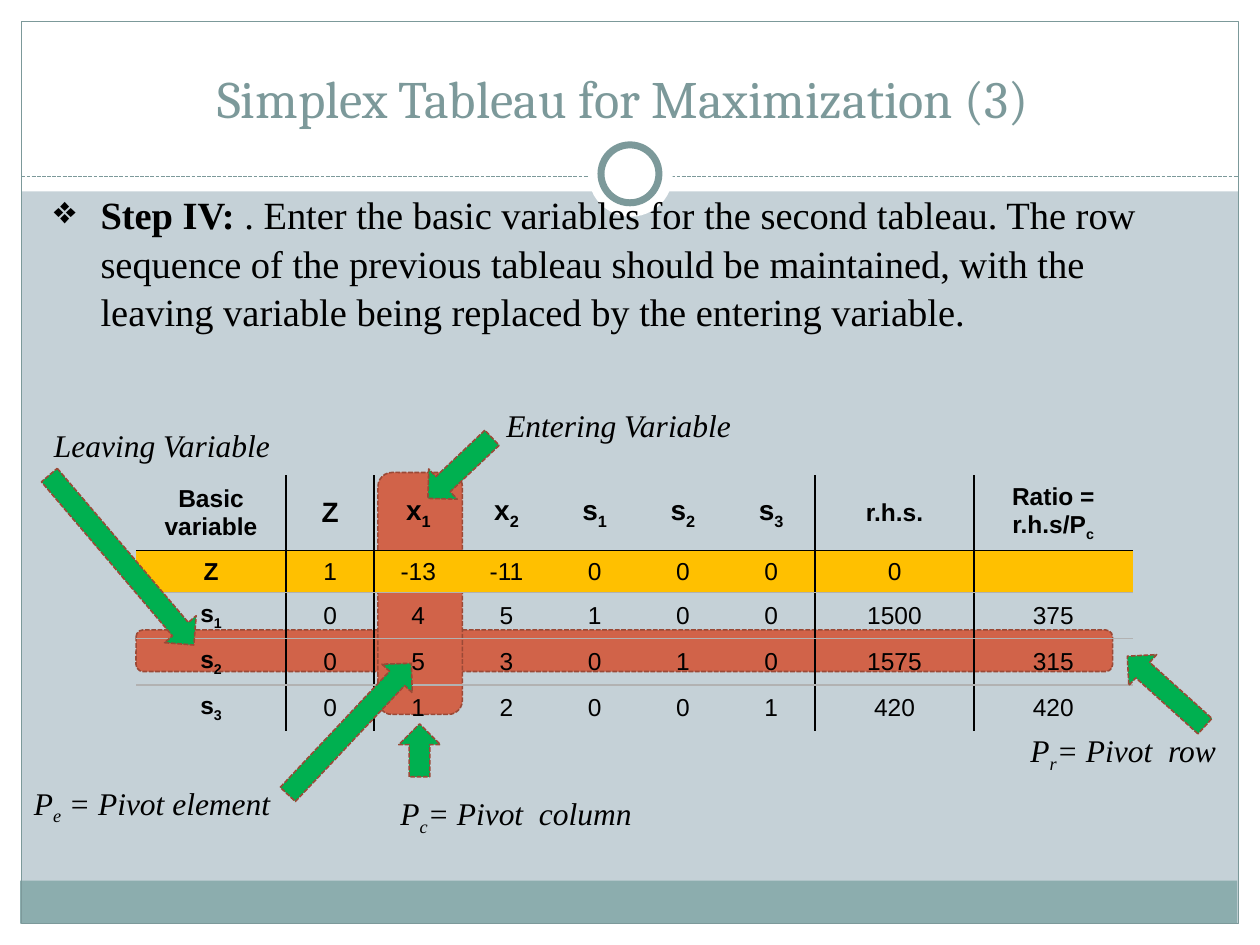
from lxml.etree import SubElement
from pptx import Presentation
from pptx.dml.color import RGBColor
from pptx.enum.dml import MSO_LINE
from pptx.enum.shapes import MSO_CONNECTOR, MSO_SHAPE
from pptx.enum.text import MSO_ANCHOR, PP_ALIGN
from pptx.oxml.ns import qn
from pptx.util import Emu, Pt

PX = 9144
BLACK = RGBColor(0x00, 0x00, 0x00)
WHITE = RGBColor(0xFF, 0xFF, 0xFF)
MIST = RGBColor(0xC5, 0xD1, 0xD7)
TEAL = RGBColor(0x8C, 0xAD, 0xAE)
SLATE = RGBColor(0x7C, 0x99, 0x9A)
RUST = RGBColor(0xD1, 0x63, 0x49)
BROWN = RGBColor(0x9B, 0x49, 0x36)
GREEN = RGBColor(0x00, 0xB0, 0x50)
AMBER = RGBColor(0xFF, 0xC0, 0x00)
GREY = RGBColor(0xB2, 0xB2, 0xB2)

COLUMNS = [119, 70, 70, 70, 70, 70, 70, 126, 126]
HEIGHTS = [44, 31, 31, 31, 31]
RULED_AFTER = {0, 1, 6, 7}
TABLEAU = [
    ["Basic variable", "Z", "x_1", "x_2", "s_1", "s_2", "s_3", "r.h.s.", "Ratio = r.h.s/P_c"],
    ["Z", "1", "-13", "-11", "0", "0", "0", "0", ""],
    ["s_1", "0", "4", "5", "1", "0", "0", "1500", "375"],
    ["s_2", "0", "5", "3", "0", "1", "0", "1575", "315"],
    ["s_3", "0", "1", "2", "0", "0", "1", "420", "420"],
]
ARROWS = [
    (884, 532, 83, 222),
    (312, 579, 42, 270),
    (330, 355, 70, 136.6),
    (206, 562, 143, 313.3),
    (8, 428, 177, 49.6),
]
LABELS = [
    (808, 575, 175, "P_r_= Pivot  row"),
    (308, 625, 233, "P_c_= Pivot  column"),
    (17, 617, 250, "P_e_ = Pivot element"),
    (392, 317, 233, "Entering Variable"),
    (33, 333, 233, "Leaving Variable"),
]


class Painter:
    serif = "Times New Roman"
    sans = "Arial"
    heading = "Cambria"

    def __init__(self, slide):
        self.slide = slide

    def box(self, *place):
        return [Emu(v * PX) for v in place]

    def shape(self, kind, place, fill=None, line=None, width=0.75, dash=None, rotation=0):
        sp = self.slide.shapes.add_shape(kind, *self.box(*place))
        sp.shadow.inherit = False
        sp.rotation = rotation
        if fill is None:
            sp.fill.background()
        else:
            sp.fill.solid()
            sp.fill.fore_color.rgb = fill
        if line is None:
            sp.line.fill.background()
        else:
            self.stroke(sp.line, line, width, dash)

    def stroke(self, line, color, width, dash):
        line.color.rgb = color
        line.width = Pt(width)
        if dash:
            line.dash_style = dash

    def dashed_line(self, x1, y1, x2, y2):
        cx = self.slide.shapes.add_connector(MSO_CONNECTOR.STRAIGHT, *self.box(x1, y1, x2, y2))
        self.stroke(cx.line, SLATE, 0.75, MSO_LINE.SQUARE_DOT)
        SubElement(cx._element.spPr, qn("a:effectLst"))

    def marked(self, kind, place, fill, rotation=0):
        self.shape(kind, place, fill, BROWN, 0.9, MSO_LINE.SQUARE_DOT, rotation)

    def run(self, p, text, font, size, color=BLACK, bold=False, italic=False):
        r = p.add_run()
        r.text = text
        r.font.name = font
        r.font.size = Pt(size)
        r.font.color.rgb = color
        r.font.bold = bold
        r.font.italic = italic
        return r

    def indexed(self, p, text, *style, **marks):
        for i, part in enumerate(text.split("_")):
            r = self.run(p, part, *style, **marks)
            if i % 2:
                r.font._element.set("baseline", "-25000")

    def text(self, place, anchor=MSO_ANCHOR.TOP):
        tf = self.slide.shapes.add_textbox(*self.box(*place)).text_frame
        tf.word_wrap = True
        tf.vertical_anchor = anchor
        return tf.paragraphs[0]

    def title(self, place, text):
        p = self.text(place, MSO_ANCHOR.BOTTOM)
        p.alignment = PP_ALIGN.CENTER
        self.run(p, text, self.heading, 30, SLATE)
        self.run(p, " ", self.heading, 32, SLATE)

    def bullet(self, place, lead, text):
        p = self.text(place)
        p.line_spacing = 1.05
        pPr = p._p.get_or_add_pPr()
        pPr.set("marL", str(37 * PX))
        pPr.set("indent", str(-37 * PX))
        SubElement(pPr, qn("a:buChar"), char="❖")
        self.run(p, lead, self.serif, 22, bold=True)
        self.run(p, text, self.serif, 22)

    def label(self, x, y, width, text):
        p = self.text((x, y, width, 40))
        self.indexed(p, text, self.serif, 18, italic=True)

    def border(self, cell, side, color):
        ln = SubElement(cell._tc.get_or_add_tcPr(), qn("a:" + side), w=str(Pt(1)))
        if color is None:
            SubElement(ln, qn("a:noFill"))
        else:
            SubElement(SubElement(ln, qn("a:solidFill")), qn("a:srgbClr"), val=str(color))

    def cell(self, cell, i, j, text):
        cell.vertical_anchor = MSO_ANCHOR.MIDDLE
        rules = [None] + [BLACK] + [GREY] * (len(HEIGHTS) - 2) + [None]
        self.border(cell, "lnL", BLACK if j - 1 in RULED_AFTER else None)
        self.border(cell, "lnR", BLACK if j in RULED_AFTER else None)
        self.border(cell, "lnT", rules[i])
        self.border(cell, "lnB", rules[i + 1])
        if i == 1:
            cell.fill.solid()
            cell.fill.fore_color.rgb = AMBER
        else:
            cell.fill.background()
        p = cell.text_frame.paragraphs[0]
        p.alignment = PP_ALIGN.CENTER
        size = 16 if i == 0 and 1 <= j <= 6 else 14
        if text:
            self.indexed(p, text, self.sans, size, bold=i == 0 or j == 0)
        else:
            SubElement(p._p, qn("a:endParaRPr"), sz=str(size * 100))

    def table(self, x, y, rows):
        place = self.box(x, y, sum(COLUMNS), sum(HEIGHTS))
        table = self.slide.shapes.add_table(len(rows), len(COLUMNS), *place).table
        table.first_row = False
        table.horz_banding = False
        for column, width in zip(table.columns, COLUMNS):
            column.width = Emu(width * PX)
        for i, values in enumerate(rows):
            table.rows[i].height = Emu(HEIGHTS[i] * PX)
            for j, value in enumerate(values):
                self.cell(table.cell(i, j), i, j, value)


def main():
    prs = Presentation()
    prs.slide_width = Emu(1000 * PX)
    prs.slide_height = Emu(750 * PX)
    s = prs.slides.add_slide(prs.slide_layouts[6])
    s.background.fill.solid()
    s.background.fill.fore_color.rgb = MIST
    painter = Painter(s)

    for margin in [(0, 733, 1000, 17), (0, 0, 1000, 152), (0, 0, 17, 750), (983, 0, 17, 750)]:
        painter.shape(MSO_SHAPE.RECTANGLE, margin, WHITE)
    painter.shape(MSO_SHAPE.RECTANGLE, (16, 699, 966, 34), TEAL)
    painter.shape(MSO_SHAPE.RECTANGLE, (17, 17, 966, 716), line=SLATE)
    painter.dashed_line(17, 140, 983, 140)
    painter.shape(MSO_SHAPE.OVAL, (467, 105, 67, 67), WHITE)
    painter.shape(MSO_SHAPE.OVAL, (477, 115, 46, 46), WHITE, SLATE, 4)

    for pivot in [(108, 500, 775, 33), (300, 375, 67, 192)]:
        painter.marked(MSO_SHAPE.ROUNDED_RECTANGLE, pivot, RUST)
    painter.title((33, 25, 933, 83), "Simplex Tableau for Maximization (3)")
    painter.bullet(
        (33, 145, 933, 121),
        "Step IV: ",
        ". Enter the basic variables for the second tableau. The row sequence of the "
        "previous tableau should be maintained, with the leaving variable being "
        "replaced by the entering variable.",
    )
    painter.table(108, 377, TABLEAU)
    for label in LABELS:
        painter.label(*label)
    for x, y, length, angle in ARROWS:
        painter.marked(MSO_SHAPE.RIGHT_ARROW, (x, y, length, 33), GREEN, angle)

    prs.save("out.pptx")


if __name__ == "__main__":
    main()
